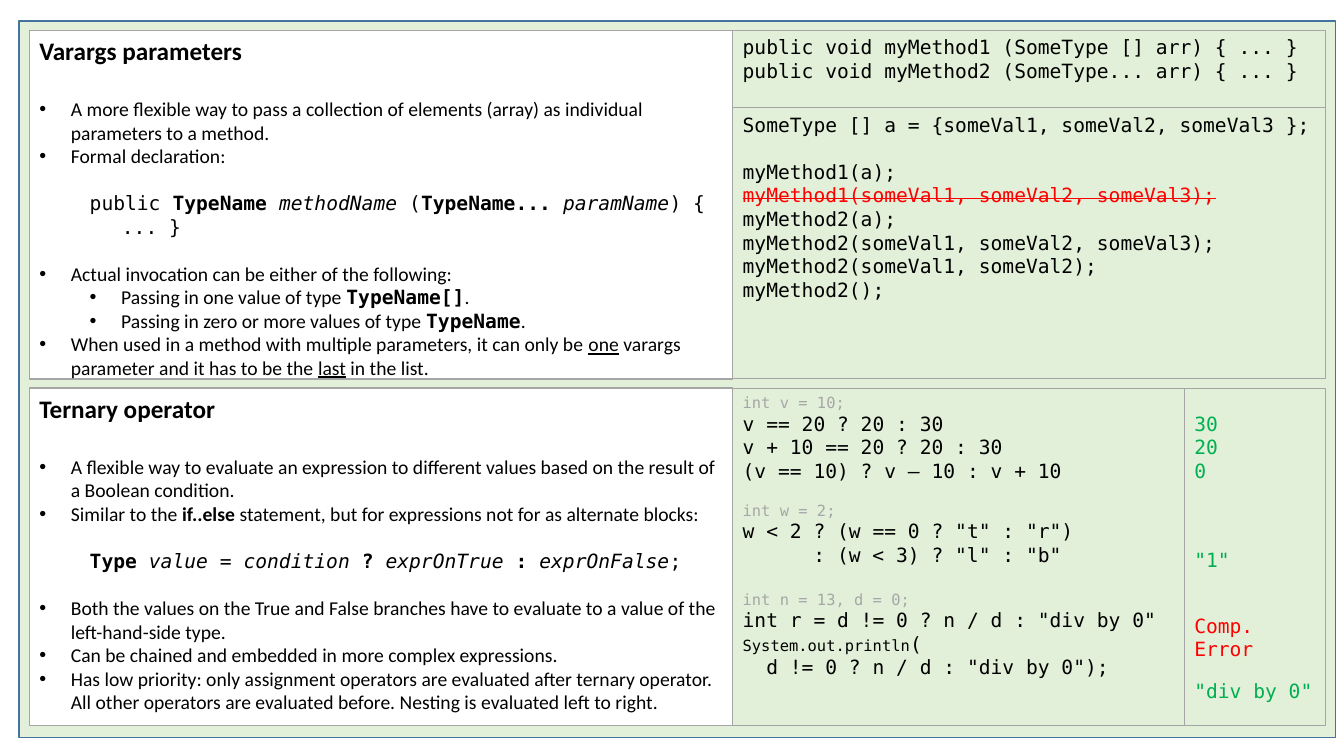
"""Build a slide on varargs parameters and the ternary operator."""
from lxml import etree
from pptx import Presentation
from pptx.dml.color import RGBColor
from pptx.enum import shapes, text
from pptx.oxml import ns
from pptx.util import Pt

BLACK, WHITE = RGBColor(0, 0, 0), RGBColor(255, 255, 255)
RED, GREEN = RGBColor(255, 0, 0), RGBColor(0, 176, 80)
PALE_GREEN, BLUE = RGBColor(226, 240, 217), RGBColor(67, 115, 158)
GREY, LIGHT_GREY = RGBColor(165, 165, 165), RGBColor(166, 166, 166)

SANS, MONO = "Calibri", "DejaVu Sans Mono"
BODY, SMALL, HEADING = 14, 11, 18
PITCH = 1.2
GAP, SMALL_GAP = BODY * PITCH, SMALL * PITCH
INSET_X, INSET_Y = 7.2, 3.6

STYLES = {
    "plain": {},
    "heading": {"size": HEADING, "bold": True},
    "bold": {"bold": True},
    "underline": {"underline": True},
    "code": {"name": MONO},
    "code bold": {"name": MONO, "bold": True},
    "code italic": {"name": MONO, "italic": True},
    "small": {"name": MONO, "size": SMALL},
    "setup": {"name": MONO, "size": SMALL, "color": LIGHT_GREY},
    "struck": {"name": MONO, "color": RED, "strike": True},
    "good": {"name": MONO, "color": GREEN},
    "bad": {"name": MONO, "color": RED},
}
INDENTS = {
    "none": (0, 0), "bullet": (22.5, -22.5), "sub": (58.5, -22.5),
    "syntax": (59, -23), "two": (16.86, 0), "six": (50.57, 0),
}


def line(*runs, indent="none", gap=0):
    """Describe one paragraph made of (text, style) runs."""
    return {"runs": runs, "indent": indent, "gap": gap}


def bullet(*runs, indent="bullet", gap=0):
    """Describe a bulleted paragraph; bare strings are plain runs."""
    pairs = [(run, "plain") if isinstance(run, str) else run for run in runs]
    return line(*pairs, indent=indent, gap=gap)


def code(*rows, style="code"):
    """Describe consecutive lines in one style."""
    return [line((row, style)) for row in rows]


VARARGS = [
    bullet("A more flexible way to pass a collection of elements (array) "
           "as individual parameters to a method."),
    bullet("Formal declaration:"),
    line(("public ", "code"), ("TypeName ", "code bold"),
         ("methodName", "code italic"), (" (", "code"),
         ("TypeName... ", "code bold"), ("paramName", "code italic"),
         (") {\v... }", "code"), indent="syntax", gap=GAP),
    bullet("Actual invocation can be either of the following:", gap=GAP),
    bullet("Passing in one value of type ", ("TypeName[]", "code bold"), ".",
           indent="sub"),
    bullet("Passing in zero or more values of type ",
           ("TypeName", "code bold"), ".", indent="sub"),
    bullet("When used in a method with multiple parameters, it can only be ",
           ("one", "underline"), " varargs parameter and it has to be the ",
           ("last", "underline"), " in the list."),
]
TERNARY = [
    bullet("A flexible way to evaluate an expression to different values "
           "based on the result of a Boolean condition."),
    bullet("Similar to the ", ("if..else", "bold"),
           " statement, but for expressions not for as alternate blocks:"),
    line(("Type ", "code bold"), ("value", "code italic"), (" = ", "code"),
         ("condition ", "code italic"), ("? ", "code bold"),
         ("exprOnTrue ", "code italic"), (": ", "code bold"),
         ("exprOnFalse", "code italic"), (";", "code"),
         indent="syntax", gap=GAP),
    bullet("Both the values on the True and False branches have to evaluate "
           "to a value of the left-hand-side type.", gap=GAP),
    bullet("Can be chained and embedded in more complex expressions."),
    bullet("Has low priority: only assignment operators are evaluated after "
           "ternary operator.\vAll other operators are evaluated before. "
           "Nesting is evaluated left to right."),
]
DECLARATIONS = code("public void myMethod1 (SomeType [] arr) { ... }",
                    "public void myMethod2 (SomeType... arr) { ... }")
CALLS = [
    *code("SomeType [] a = {someVal1, someVal2, someVal3 };"),
    line(("myMethod1(a);", "code"), gap=GAP),
    *code("myMethod1(someVal1, someVal2, someVal3);", style="struck"),
    *code("myMethod2(a);", "myMethod2(someVal1, someVal2, someVal3);",
          "myMethod2(someVal1, someVal2);", "myMethod2();"),
]
EXPRESSIONS = [
    *code("int v = 10;", style="setup"),
    *code("v == 20 ? 20 : 30", "v + 10 == 20 ? 20 : 30",
          "(v == 10) ? v – 10 : v + 10"),
    line(("int w = 2;", "setup"), gap=SMALL_GAP),
    *code('w < 2 ? (w == 0 ? "t" : "r")'),
    line((': (w < 3) ? "l" : "b"', "code"), indent="six"),
    line(("int n = 13, d = 0;", "setup"), gap=GAP),
    *code('int r = d != 0 ? n / d : "div by 0"'),
    line(("System.out.println", "small"), ("(", "code")),
    line(('d != 0 ? n / d : "div by 0");', "code"), indent="two"),
]
RESULTS = [
    *code("30", "20", "0", style="good"),
    line(('"1"', "good"), gap=47),
    line(("Comp. Error", "bad"), gap=GAP + SMALL_GAP),
    line(('"div by 0"', "good"), gap=SMALL_GAP),
]

LEFT, MIDDLE, RESULT_X, RIGHT = 20.9, 523.4, 846, 946.8
TOP, CALLS_Y, TOP_END, LOWER, LOWER_END = 21.6, 77, 270.7, 277.2, 518.4
BODY_OFFSET = 44
PANELS = [
    ((13.7, 15.1, 954, 527), PALE_GREEN, BLUE, 1, [], INSET_Y),
    ((LEFT, TOP, MIDDLE, TOP_END), WHITE, GREY, 1, [], INSET_Y),
    ((MIDDLE, TOP, RIGHT, CALLS_Y), None, GREY, 0.75, DECLARATIONS, INSET_Y),
    ((MIDDLE, CALLS_Y, RIGHT, TOP_END), None, GREY, 0.75, CALLS, INSET_Y),
    ((LEFT, LOWER, MIDDLE, LOWER_END), WHITE, GREY, 1, [], INSET_Y),
    ((MIDDLE, LOWER, RESULT_X, LOWER_END), None, GREY, 0.75, EXPRESSIONS,
     INSET_Y),
    ((RESULT_X, LOWER, RIGHT, LOWER_END), None, GREY, 0.75, RESULTS,
     INSET_Y + SMALL_GAP),
]
PLACEHOLDERS = {
    0: ((LEFT, TOP, MIDDLE, TOP + BODY_OFFSET),
        code("Varargs parameters", style="heading")),
    2: ((LEFT, TOP + BODY_OFFSET, MIDDLE, TOP_END), VARARGS),
    1: ((LEFT, LOWER, MIDDLE, LOWER + BODY_OFFSET),
        code("Ternary operator", style="heading")),
    4: ((LEFT, LOWER + BODY_OFFSET, MIDDLE, LOWER_END), TERNARY),
}


def set_all(target, values):
    """Set every named attribute on the target."""
    for name, value in values.items():
        setattr(target, name, value)


def box(edges):
    """Turn left, top, right and bottom into position and size."""
    left, top, right, bottom = edges
    return {"left": Pt(left), "top": Pt(top),
            "width": Pt(right - left), "height": Pt(bottom - top)}


def write(shape, lines, top_inset=INSET_Y):
    """Fill the shape with formatted paragraphs."""
    frame = shape.text_frame
    set_all(frame, {
        "word_wrap": True, "auto_size": text.MSO_AUTO_SIZE.NONE,
        "vertical_anchor": text.MSO_ANCHOR.TOP,
        "margin_left": Pt(INSET_X), "margin_right": Pt(INSET_X),
        "margin_top": Pt(top_inset), "margin_bottom": Pt(INSET_Y)})
    for number, item in enumerate(lines):
        paragraph = frame.add_paragraph() if number else frame.paragraphs[0]
        size = max(STYLES[style].get("size", BODY)
                   for _, style in item["runs"])
        set_all(paragraph, {
            "alignment": text.PP_ALIGN.LEFT, "line_spacing": Pt(size * PITCH),
            "space_before": Pt(item["gap"]), "space_after": Pt(0),
            "level": int(item["indent"] == "sub")})
        properties = paragraph._p.get_or_add_pPr()
        for name, value in zip(("marL", "indent"), INDENTS[item["indent"]]):
            properties.set(name, str(int(Pt(value))))
        if item["indent"] in ("bullet", "sub"):
            etree.SubElement(properties, ns.qn("a:buFont"), typeface="Arial")
            etree.SubElement(properties, ns.qn("a:buChar"), char="•")
        else:
            etree.SubElement(properties, ns.qn("a:buNone"))
        for content, style in item["runs"]:
            for part_number, part in enumerate(content.split("\v")):
                if part_number:
                    paragraph.add_line_break()
                run = paragraph.add_run()
                run.text = part
                look = {"name": SANS, "size": BODY, "bold": False,
                        "color": BLACK, **STYLES[style]}
                run.font.color.rgb = look.pop("color")
                if look.pop("strike", False):
                    run._r.get_or_add_rPr().set("strike", "sngStrike")
                set_all(run.font, {**look, "size": Pt(look["size"])})


presentation = Presentation()
set_all(presentation, {"slide_width": Pt(960), "slide_height": Pt(540)})
slide = presentation.slides.add_slide(presentation.slide_layouts[4])
for edges, fill, outline, weight, lines, top_inset in PANELS:
    panel = slide.shapes.add_shape(shapes.MSO_SHAPE.RECTANGLE,
                                   **box(edges))
    panel.shadow.inherit = False
    if fill is None:
        panel.fill.background()
    else:
        panel.fill.solid()
        panel.fill.fore_color.rgb = fill
    panel.line.color.rgb = outline
    panel.line.width = Pt(weight)
    write(panel, lines, top_inset)

tree = slide.shapes._spTree
for index, (edges, lines) in PLACEHOLDERS.items():
    placeholder = slide.placeholders[index]
    set_all(placeholder, box(edges))
    write(placeholder, lines)
    tree.append(placeholder.element)
tree.remove(slide.placeholders[3].element)
presentation.save("out.pptx")
